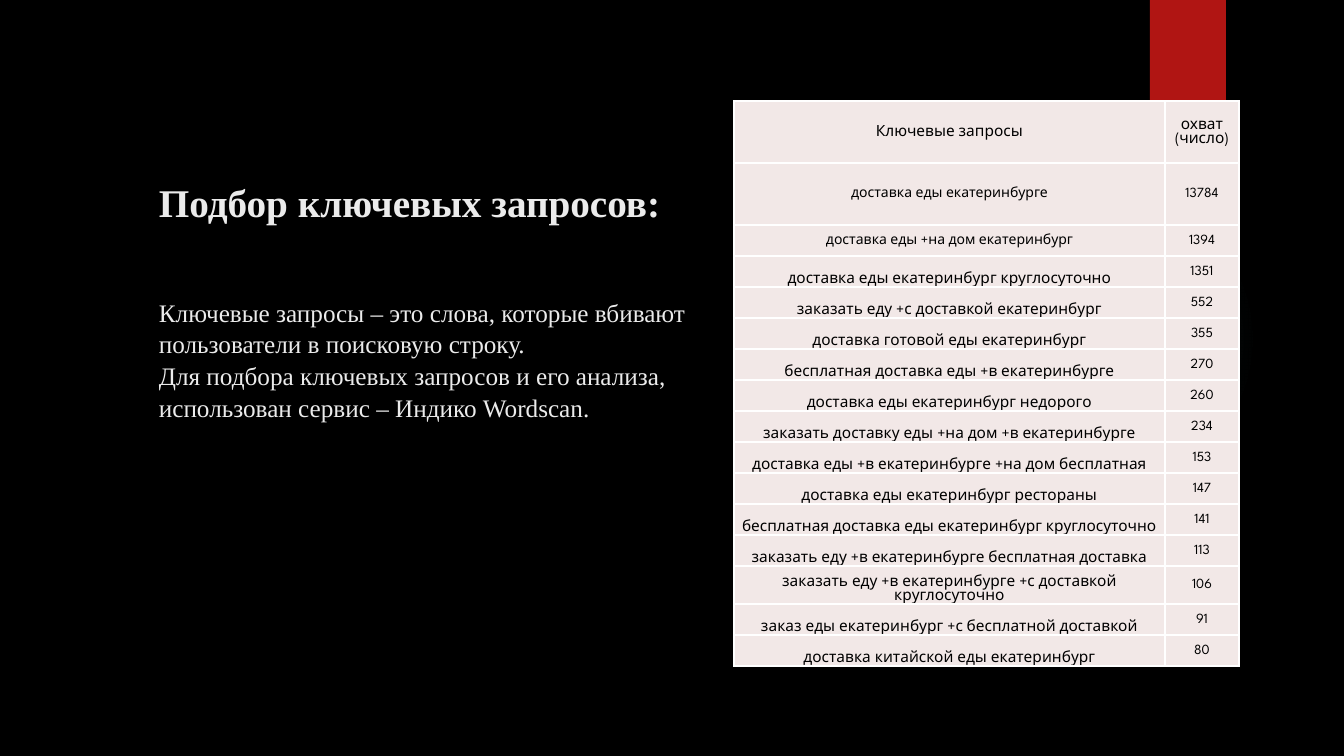
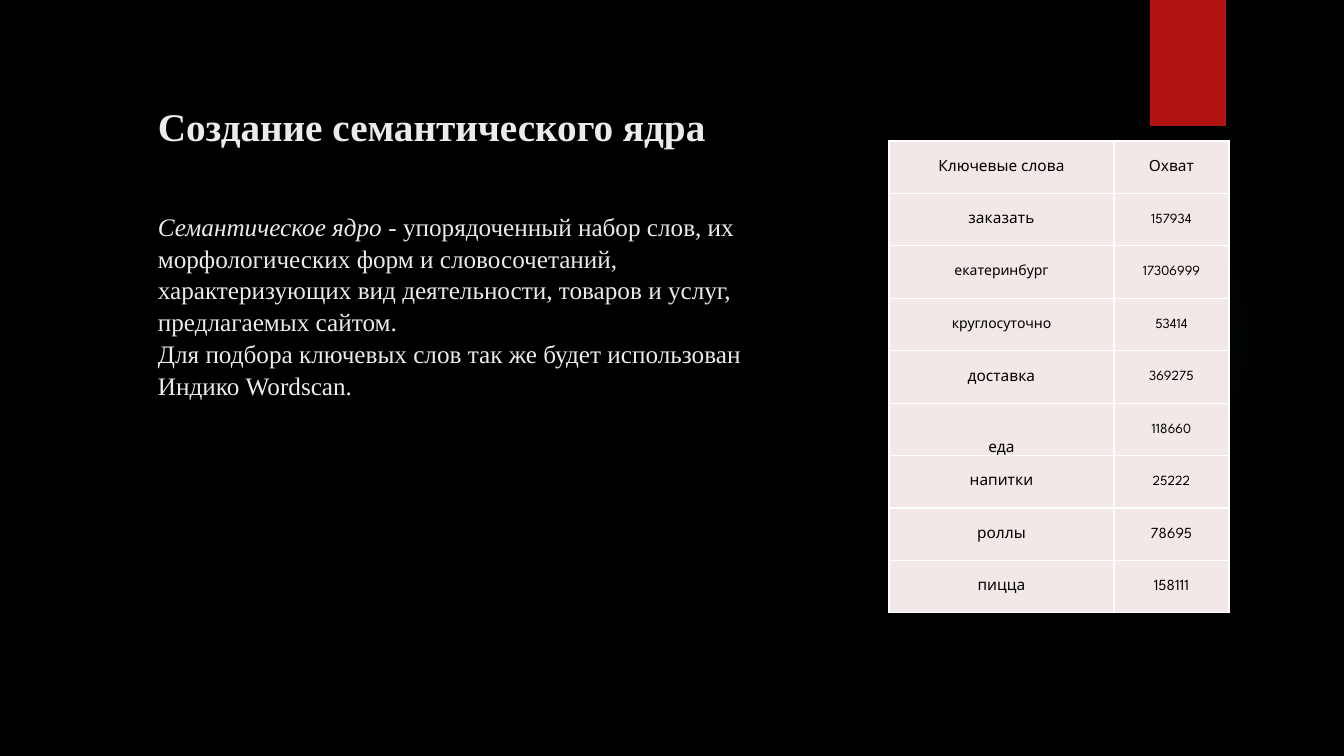
from typing import NamedTuple

from lxml import etree
from pptx import Presentation
from pptx.dml.color import RGBColor
from pptx.enum.shapes import MSO_SHAPE
from pptx.enum.text import MSO_ANCHOR, PP_ALIGN
from pptx.oxml import parse_xml
from pptx.oxml.ns import nsdecls, qn
from pptx.util import Emu, Pt

ELLIPSE, RECTANGLE = MSO_SHAPE.OVAL, MSO_SHAPE.RECTANGLE
TOP, MIDDLE, BOTTOM = MSO_ANCHOR.TOP, MSO_ANCHOR.MIDDLE, MSO_ANCHOR.BOTTOM
CENTER = PP_ALIGN.CENTER

SLIDE_WIDTH, SLIDE_HEIGHT = 1344, 756
EMU_PER_PX = 12192000 / SLIDE_WIDTH

BLACK, WHITE, LIGHT_TEXT = "000000", "FFFFFF", "EBEBEB"
RED, TEAL, CELL_FILL = "B01513", "50B9C1", "F2E8E7"
TEXT_FONT, TABLE_FONT = "Times New Roman", "League Spartan"
GLOW_STOPS = ((0, 7), (36, 6), (69, 0))  # position and opacity, percent


class Row(NamedTuple):
    label: str
    reach: str
    label_size: int = 11
    reach_size: int = 10
    label_anchor: MSO_ANCHOR = MIDDLE


QUERY_ROWS = [
    Row("Ключевые запросы", "охват (число)", reach_size=11),
    Row("доставка еды екатеринбурге", "13784", label_size=10),
    Row("доставка еды +на дом екатеринбург", "1394", label_size=10),
] + [
    Row(query, reach, label_anchor=BOTTOM)
    for query, reach in (
        ("доставка еды екатеринбург круглосуточно", "1351"),
        ("заказать еду +с доставкой екатеринбург", "552"),
        ("доставка готовой еды екатеринбург", "355"),
        ("бесплатная доставка еды +в екатеринбурге", "270"),
        ("доставка еды екатеринбург недорого", "260"),
        ("заказать доставку еды +на дом +в екатеринбурге", "234"),
        ("доставка еды +в екатеринбурге +на дом бесплатная", "153"),
        ("доставка еды екатеринбург рестораны", "147"),
        ("бесплатная доставка еды екатеринбург круглосуточно", "141"),
        ("заказать еду +в екатеринбурге бесплатная доставка", "113"),
        ("заказать еду +в екатеринбурге +с доставкой круглосуточно", "106"),
        ("заказ еды екатеринбург +с бесплатной доставкой", "91"),
        ("доставка китайской еды екатеринбург", "80"),
    )
]

WORD_ROWS = [
    Row("Ключевые слова", "Охват", reach_size=11),
    Row("заказать", "157934"),
    Row("екатеринбург", "17306999", label_size=10),
    Row("круглосуточно", "53414", label_size=10),
    Row("доставка", "369275"),
    Row("еда", "118660", label_anchor=BOTTOM),
    Row("напитки", "25222"),
    Row("роллы", "78695", reach_size=11),
    Row("пицца", "158111", reach_size=11),
]


def px(length):
    return Emu(round(length * EMU_PER_PX))


def color(hex_string):
    return RGBColor.from_string(hex_string)


def style_font(font, name, size, hex_string, bold=False):
    font.name, font.size, font.bold = name, Pt(size), bold
    font.color.rgb = color(hex_string)


def add_plain_shape(slide, kind, left, top, width, height, fill):
    shape = slide.shapes.add_shape(kind, px(left), px(top), px(width), px(height))
    shape.shadow.inherit = False
    shape.fill.solid()
    shape.fill.fore_color.rgb = color(fill)
    shape.line.fill.background()
    return shape


def add_glow(slide):
    """Add the faint round light that fades out from its centre."""
    shape = add_plain_shape(slide, ELLIPSE, 949, 184, 310, 310, TEAL)
    stops = "".join(
        f'<a:gs pos="{position * 1000}"><a:srgbClr val="{TEAL}">'
        f'<a:alpha val="{opacity * 1000}"/></a:srgbClr></a:gs>'
        for position, opacity in GLOW_STOPS
    )
    gradient = parse_xml(
        f'<a:gradFill {nsdecls("a")}><a:gsLst>{stops}</a:gsLst><a:path path="circle">'
        '<a:fillToRect l="50000" t="50000" r="50000" b="50000"/></a:path></a:gradFill>'
    )
    properties = shape.fill._xPr
    properties.replace(properties.find(qn("a:solidFill")), gradient)


def add_base_slide(presentation):
    slide = presentation.slides.add_slide(presentation.slide_layouts[6])
    add_glow(slide)
    add_plain_shape(slide, RECTANGLE, 1150, 0, 76, 126, RED)
    return slide


def add_heading_and_text(slide, left, top, width, height, heading, gap, paragraphs):
    """Add a bold heading, then, gap points below, paragraphs of (text, italic) runs."""
    frame = slide.shapes.add_textbox(px(left), px(top), px(width), px(height)).text_frame
    frame.word_wrap = True
    frame.vertical_anchor = TOP
    title = frame.paragraphs[0]
    title.text = heading
    title.line_spacing = 1.05
    style_font(title.font, TEXT_FONT, 28, LIGHT_TEXT, bold=True)
    for index, runs in enumerate(paragraphs):
        paragraph = frame.add_paragraph()
        paragraph.line_spacing = 1.05
        paragraph.space_before = Pt(0 if index else gap)
        style_font(paragraph.font, TEXT_FONT, 18, LIGHT_TEXT)
        for text, italic in runs:
            run = paragraph.add_run()
            run.text = text
            if italic:
                run.font.italic = True


def add_cell_borders(cell):
    properties = cell._tc.get_or_add_tcPr()
    for position, side in enumerate(("lnL", "lnR", "lnT", "lnB")):
        line = etree.Element(qn(f"a:{side}"), w=str(Pt(1)))
        fill = etree.SubElement(line, qn("a:solidFill"))
        etree.SubElement(fill, qn("a:srgbClr"), val=WHITE)
        properties.insert(position, line)


def fill_cell(cell, text, size, anchor):
    cell.fill.solid()
    cell.fill.fore_color.rgb = color(CELL_FILL)
    cell.margin_left = cell.margin_right = cell.margin_top = px(1)
    cell.margin_bottom = 0
    cell.vertical_anchor = anchor
    paragraph = cell.text_frame.paragraphs[0]
    paragraph.text = text
    paragraph.alignment = CENTER
    style_font(paragraph.font, TABLE_FONT, size, BLACK)
    add_cell_borders(cell)


def add_reach_table(slide, left, top, column_widths, height, rows, tall_rows=0):
    """Share the height among the rows; the first tall_rows are twice as high."""
    table = slide.shapes.add_table(
        len(rows), 2, px(left), px(top), px(sum(column_widths)), px(height)
    ).table
    table.first_row = table.horz_banding = False
    for column, width in zip(table.columns, column_widths):
        column.width = px(width)
    unit = height / (len(rows) + tall_rows)
    for index, row in enumerate(rows):
        table.rows[index].height = px(unit * (2 if index < tall_rows else 1))
        fill_cell(table.cell(index, 0), row.label, row.label_size, row.label_anchor)
        fill_cell(table.cell(index, 1), row.reach, row.reach_size, MIDDLE)


def add_queries_slide(presentation):
    slide = add_base_slide(presentation)
    add_heading_and_text(
        slide, 149, 171, 629, 351, "Подбор ключевых запросов:", 50,
        [
            [("Ключевые запросы – это слова, которые вбивают пользователи "
              "в поисковую строку.", False)],
            [("Для подбора ключевых запросов и его анализа, использован "
              "сервис – Индико Wordscan.", False)],
        ],
    )
    add_reach_table(slide, 734, 101, (431, 74), 558, QUERY_ROWS, tall_rows=2)


def add_words_slide(presentation):
    slide = add_base_slide(presentation)
    add_heading_and_text(
        slide, 148, 95, 662, 540, "Создание семантического ядра", 43,
        [
            [("Семантическое ядро ", True),
             ("- упорядоченный набор слов, их морфологических форм и словосочетаний, "
              "характеризующих вид деятельности, товаров и услуг, "
              "предлагаемых сайтом.", False)],
            [("Для подбора ключевых слов так же будет использован "
              "Индико Wordscan.", False)],
        ],
    )
    add_reach_table(slide, 889, 141, (225, 115), 472, WORD_ROWS)


def main():
    presentation = Presentation()
    presentation.slide_width = px(SLIDE_WIDTH)
    presentation.slide_height = px(SLIDE_HEIGHT)
    background = presentation.slide_master.background.fill
    background.solid()
    background.fore_color.rgb = color(BLACK)
    add_queries_slide(presentation)
    add_words_slide(presentation)
    presentation.save("out.pptx")


if __name__ == "__main__":
    main()
